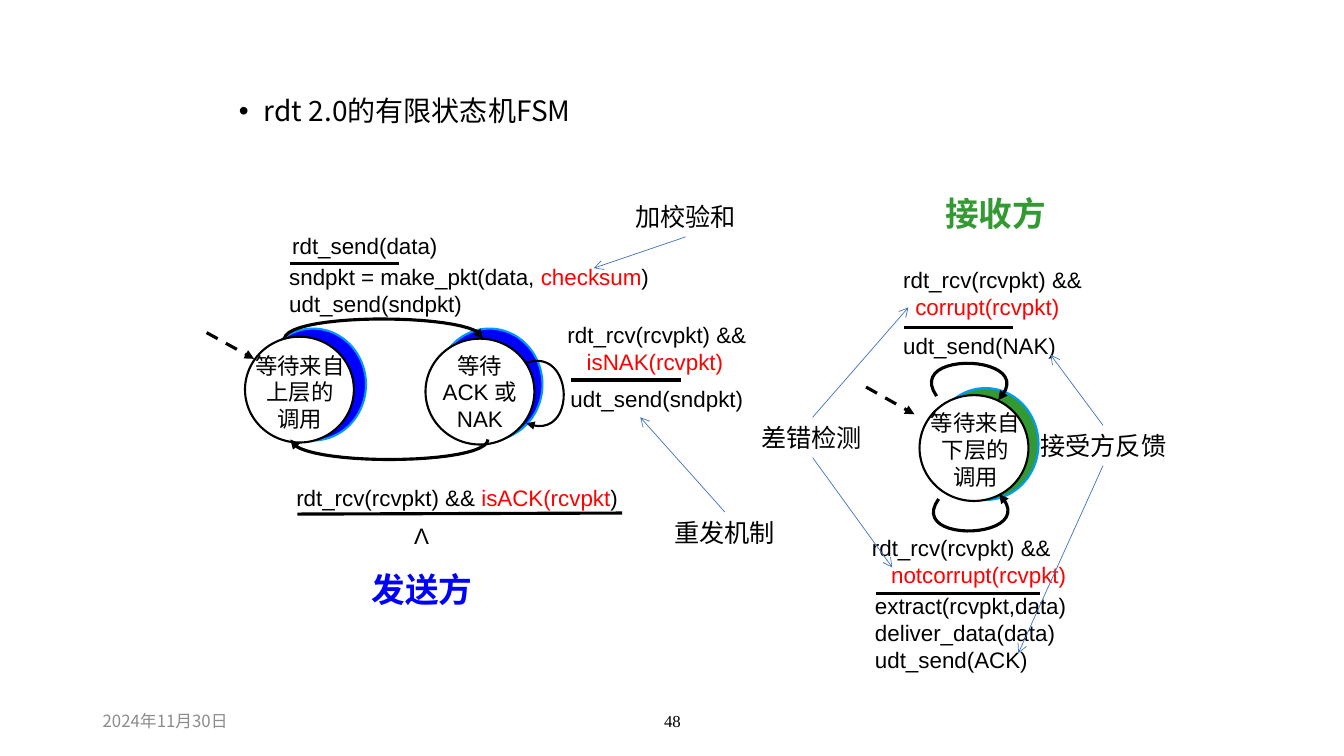
import lxml.etree
import pptx
import pptx.dml.color
import pptx.enum.dml
import pptx.enum.shapes
import pptx.enum.text
import pptx.oxml.ns
import pptx.util

Inches = pptx.util.Inches
COLOURS = {"black": "000000", "white": "FFFFFF", "red": "FF0000", "blue": "0000FF",
           "green": "339933", "rim": "0099FF", "pointer": "4472C4", "grey": "8C8C8C"}
LATIN, CHINESE, SERIF = "Arial", "Noto Sans CJK SC", "Times New Roman"

# Shadow ellipses: left, top, colour. State ellipses: left, top.
SHADOWS = [(9.25, 3.85, "green"), (4.33, 3.26, "blue"), (2.58, 3.26, "blue")]
SHADOW_SIZE = (1.05, 1.11)
STATES = [(2.43, 3.34), (4.22, 3.36), (9.12, 3.92)]
STATE_SIZE = (1.08, 1.05)
STATE_LABELS = [
    ((2.32, 3.44, 1.31, 0.67), ["等待来自", "上层的", "调用"]),
    ((4.17, 3.44, 1.18, 0.67), ["等待", "ACK 或 NAK"]),
    ((9.02, 4.01, 1.31, 0.67), ["等待来自", "下层的", "调用"]),
]

# Events and actions: a line is a string or a list of (text, colour) runs;
# the last number is the left indent of the second line.
TRANSITIONS = [
    ((2.8, 2.25, 2.47, 0.47), ["rdt_send(data)"], 0),
    ((2.77, 2.56, 3.98, 0.44),
     [[("sndpkt = make_pkt(data, ", "black"), ("checksum", "red"), (")", "black")],
      "udt_send(sndpkt)"], 0),
    ((5.53, 3.14, 2.28, 0.69), ["rdt_rcv(rcvpkt) &&", [("isNAK(rcvpkt)", "red")]], 0.19),
    ((5.56, 3.77, 1.93, 0.44), ["udt_send(sndpkt)"], 0),
    ((2.84, 4.75, 3.88, 0.31),
     [[("rdt_rcv(rcvpkt) && ", "black"), ("isACK(rcvpkt", "red"), (")", "black")]], 0),
    ((4.01, 5.13, 0.35, 0.37), ["Λ"], 0),
    ((8.86, 2.59, 2.1, 0.34), ["rdt_rcv(rcvpkt) &&", [("corrupt(rcvpkt)", "red")]], 0.12),
    ((8.86, 3.25, 2, 0.28), ["udt_send(NAK)"], 0),
    ((8.55, 5.25, 2.36, 0.77), ["rdt_rcv(rcvpkt) &&", [("notcorrupt(rcvpkt)", "red")]], 0.19),
    ((8.58, 5.83, 2.34, 0.68),
     ["extract(rcvpkt,data)", "deliver_data(data)", "udt_send(ACK)"], 0),
]
RULES = [(2.88, 2.61, 3.96, 2.61), (2.95, 5.1, 6.17, 5.09), (5.66, 3.77, 6.75, 3.77),
         (8.97, 3.25, 10.05, 3.25), (8.69, 5.89, 10.32, 5.89)]
ENTRY_ARROWS = [(2.05, 3.3, 2.52, 3.56), (8.59, 3.84, 9.07, 4.11)]

# Cubic curves: start, two control points, end; then line width.
LOOPS = [
    ([(2.82, 3.36), (2.86, 3.09), (4.79, 3.11), (4.79, 3.36)], 2.25),
    ([(4.84, 4.36), (4.84, 4.62), (2.92, 4.63), (2.88, 4.36)], 2.25),
    ([(5.22, 3.6), (5.7, 3.43), (5.73, 4.4), (5.22, 4.2)], 1.5),
    ([(9.29, 3.93), (8.96, 3.46), (10.34, 3.52), (9.9, 3.97)], 2.25),
    ([(9.31, 4.95), (8.98, 5.41), (10.35, 5.35), (9.91, 4.9)], 2.25),
]
SIDES = [("发送方", (3.58, 5.59, 1.21, 0.5), "blue"),
         ("接收方", (9.27, 1.86, 1.21, 0.5), "green")]
# Remarks, each with the arrows that leave it.
REMARKS = [
    ("加校验和", (6.2, 1.95, 1.2, 0.4), [(6.8, 2.35, 5.89, 2.66)]),
    ("重发机制", (6.59, 5.08, 1.2, 0.4), [(7.19, 5.08, 6.35, 4.14)]),
    ("差错检测", (7.45, 4.14, 1.2, 0.4),
     [(8.06, 4.14, 9.01, 3.05), (8.06, 4.54, 8.85, 5.63)]),
    ("接受方反馈", (10.22, 4.22, 1.45, 0.4),
     [(10.94, 4.22, 10.42, 3.52), (10.94, 4.62, 10.1, 6.48)]),
]


def rgb(name):
    return pptx.dml.color.RGBColor.from_string(COLOURS[name])


def add_element(parent, tag, **attributes):
    return lxml.etree.SubElement(parent, pptx.oxml.ns.qn(tag), attributes)


def add_text(page, area, lines, size=16, font=LATIN, colour="black", bold=False,
             centred=False, wrap=True, middle=False, indent=0, bullet=False):
    frame = page.shapes.add_textbox(*map(Inches, area)).text_frame
    frame.word_wrap = wrap
    if middle:
        frame.vertical_anchor = pptx.enum.text.MSO_ANCHOR.MIDDLE
    for number, line in enumerate(lines):
        para = frame.paragraphs[0] if number == 0 else frame.add_paragraph()
        properties = para._p.get_or_add_pPr()
        if bullet:
            para.line_spacing = 0.9
            properties.set("marL", str(Inches(1.25)))
            properties.set("indent", str(Inches(-0.25)))
            add_element(properties, "a:buFont", typeface="Arial")
            add_element(properties, "a:buChar", char="•")
        elif number and indent:
            properties.set("marL", str(Inches(indent)))
        if centred:
            para.alignment = pptx.enum.text.PP_ALIGN.CENTER
        para.font.size = pptx.util.Pt(size)
        para.font.bold = bold
        para.font.name = font
        para.font.color.rgb = rgb(colour)
        add_element(properties.find(pptx.oxml.ns.qn("a:defRPr")), "a:ea", typeface=CHINESE)
        for words, tint in [(line, colour)] if isinstance(line, str) else line:
            span = para.add_run()
            span.text = words
            if tint != colour:
                span.font.color.rgb = rgb(tint)


def style_line(shape, colour, width, head=None):
    shape.line.color.rgb = rgb(colour)
    shape.line.width = pptx.util.Pt(width)
    if head:
        add_element(shape.line._get_or_add_ln(), "a:tailEnd", type=head)


def add_line(page, ends, colour="black", width=2.25, head=None, dashed=False):
    straight = pptx.enum.shapes.MSO_CONNECTOR.STRAIGHT
    line = page.shapes.add_connector(straight, *map(Inches, ends))
    add_element(line._element.spPr, "a:effectLst")
    if dashed:
        line.line.dash_style = pptx.enum.dml.MSO_LINE.DASH
    style_line(line, colour, width, head)


def add_ellipse(page, place, size, fill, rim):
    oval = pptx.enum.shapes.MSO_SHAPE.OVAL
    ellipse = page.shapes.add_shape(oval, *map(Inches, place + size))
    ellipse.shadow.inherit = False
    ellipse.fill.solid()
    ellipse.fill.fore_color.rgb = rgb(fill)
    style_line(ellipse, rim, 1.5)


def add_loop(page, controls, width, steps=24):
    """Draw a cubic curve as short segments, with an arrowhead at its end."""
    points = []
    for step in range(steps + 1):
        t = step / steps
        weights = ((1 - t) ** 3, 3 * t * (1 - t) ** 2, 3 * t * t * (1 - t), t ** 3)
        points.append(tuple(Inches(sum(w * c for w, c in zip(weights, axis)))
                            for axis in zip(*controls)))
    builder = page.shapes.build_freeform(*points[0])
    builder.add_line_segments(points[1:], close=False)
    loop = builder.convert_to_shape()
    loop.shadow.inherit = False
    loop.fill.background()
    style_line(loop, "black", width, "triangle")


def main():
    deck = pptx.Presentation()
    deck.slide_width, deck.slide_height = Inches(13.33), Inches(7.5)
    page = deck.slides.add_slide(deck.slide_layouts[6])

    add_text(page, (0.92, 6.95, 3, 0.4), ["2024年11月30日"], 12, CHINESE, "grey", middle=True)
    add_text(page, (4.42, 6.95, 4.5, 0.4), ["48"], 12, SERIF, centred=True, middle=True)
    add_text(page, (1.27, 0.92, 9, 0.55), ["rdt 2.0的有限状态机FSM"], 20, CHINESE, bullet=True)

    for left, top, colour in SHADOWS:
        add_ellipse(page, (left, top), SHADOW_SIZE, colour, "rim")
    for place in STATES:
        add_ellipse(page, place, STATE_SIZE, "white", "black")
    for area, lines in STATE_LABELS:
        add_text(page, area, lines, centred=True)
    for area, lines, indent in TRANSITIONS:
        add_text(page, area, lines, indent=indent)
    for ends in RULES:
        add_line(page, ends)
    for controls, width in LOOPS:
        add_loop(page, controls, width)
    for ends in ENTRY_ARROWS:
        add_line(page, ends, head="triangle", dashed=True)
    for side, area, colour in SIDES:
        add_text(page, area, [side], 24, colour=colour, bold=True, centred=True, wrap=False)
    for remark, area, arrows in REMARKS:
        add_text(page, area, [remark], 18, CHINESE, wrap=False)
        for ends in arrows:
            add_line(page, ends, "pointer", 0.5, "arrow")

    deck.save("out.pptx")


if __name__ == "__main__":
    main()
